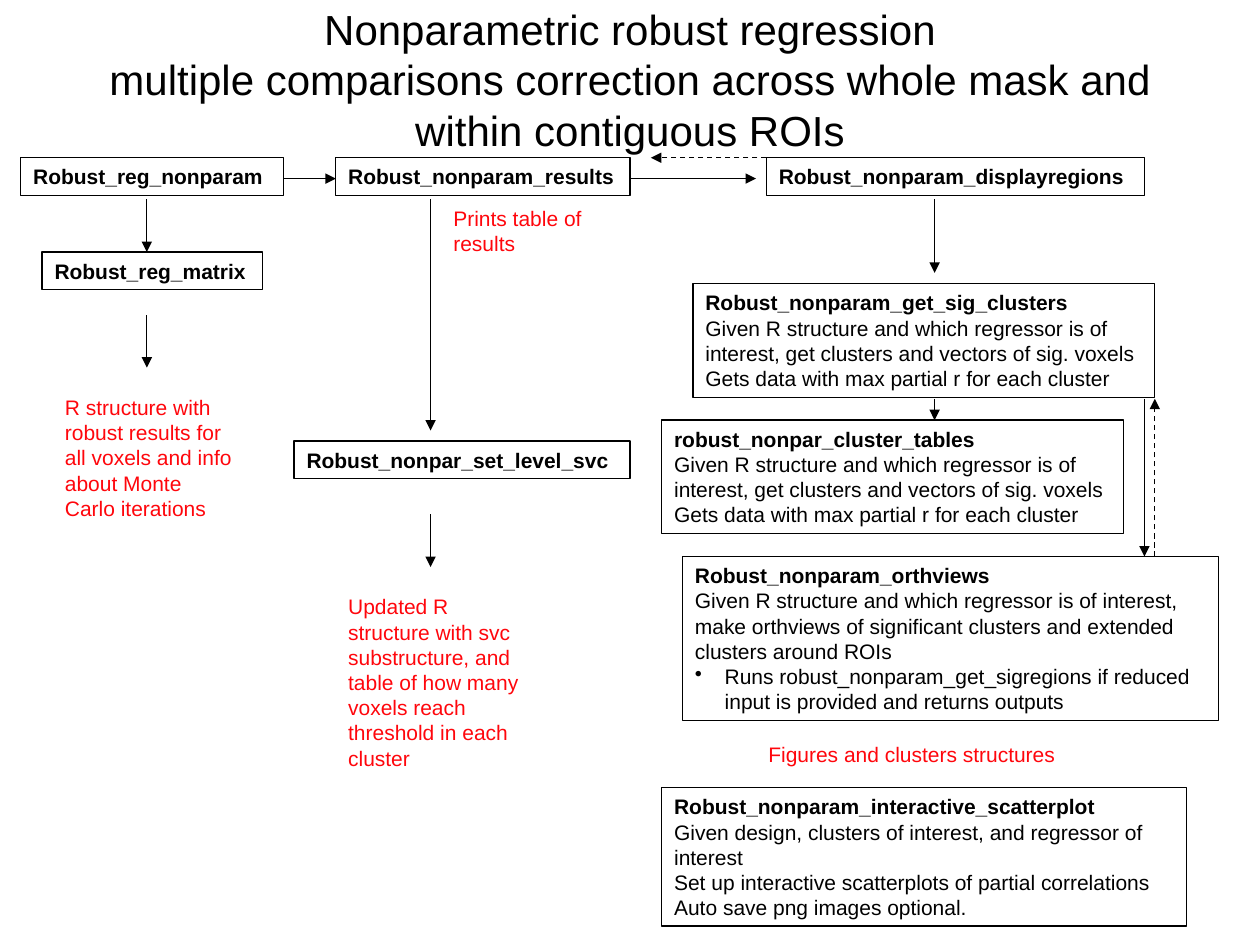
"""Build the flow chart slide of the nonparametric robust regression functions."""
from lxml import etree
from pptx import Presentation
from pptx import util as u
from pptx.dml.color import RGBColor
from pptx.enum import dml, shapes, text
from pptx.oxml.ns import qn


def color(value):
    return RGBColor.from_string(value)


def write(shape, content, size=12, fill="000000", heading=False, align=text.PP_ALIGN.LEFT,
          anchor=text.MSO_ANCHOR.TOP):
    frame = shape.text_frame
    frame.word_wrap = True
    frame.vertical_anchor = anchor
    for index, line in enumerate(content):
        paragraph = frame.paragraphs[0] if index == 0 else frame.add_paragraph()
        paragraph.alignment = align
        paragraph.text = line.removeprefix("• ")
        paragraph.font.size = u.Pt(size)
        paragraph.font.name = "Arial"
        paragraph.font.bold = heading and index == 0
        paragraph.font.color.rgb = color(fill)
        if line.startswith("• "):
            properties = paragraph._p.get_or_add_pPr()
            properties.set("marL", str(u.Cm(0.6)))
            properties.set("indent", str(u.Cm(-0.6)))
            bullet = etree.Element(qn("a:buChar"), char="•")
            properties.insert(0, bullet)


presentation = Presentation()
presentation.slide_width = u.Cm(25.4)
presentation.slide_height = u.Cm(19.05)
slide = presentation.slides.add_slide(presentation.slide_layouts[6])

title = slide.shapes.add_textbox(u.Cm(1.9), u.Cm(0), u.Cm(21.6), u.Cm(3.18))
write(title, ["Nonparametric robust regression\vmultiple comparisons correction across whole mask "
              "and within contiguous ROIs"],
      size=24, align=text.PP_ALIGN.CENTER, anchor=text.MSO_ANCHOR.MIDDLE)

cluster_lines = [
    "Given R structure and which regressor is of interest, get clusters and vectors of sig. voxels",
    "Gets data with max partial r for each cluster",
]
boxes = [
    (13.97, 5.72, 9.31, 2.29, ["Robust_nonparam_get_sig_clusters", *cluster_lines]),
    (13.76, 11.22, 10.8, 3.3, [
        "Robust_nonparam_orthviews",
        "Given R structure and which regressor is of interest, make orthviews of significant "
        "clusters and extended clusters around ROIs",
        "• Runs robust_nonparam_get_sigregions if reduced input is provided and returns outputs"]),
    (13.34, 15.88, 10.58, 2.79, [
        "Robust_nonparam_interactive_scatterplot",
        "Given design, clusters of interest, and regressor of interest",
        "Set up interactive scatterplots of partial correlations",
        "Auto save png images optional."]),
    (15.45, 3.18, 7.62, 0.76, ["Robust_nonparam_displayregions"]),
    (0.42, 3.18, 5.29, 0.76, ["Robust_reg_nonparam"]),
    (0.85, 5.08, 4.45, 0.76, ["Robust_reg_matrix"]),
    (6.77, 3.18, 5.93, 0.76, ["Robust_nonparam_results"]),
    (5.93, 8.89, 6.77, 0.76, ["Robust_nonpar_set_level_svc"]),
    (13.34, 8.47, 9.31, 2.29, ["robust_nonpar_cluster_tables", *cluster_lines]),
]
for left, top, width, height, content in boxes:
    box = slide.shapes.add_shape(shapes.MSO_SHAPE.RECTANGLE,
                                 u.Cm(left), u.Cm(top), u.Cm(width), u.Cm(height))
    box.shadow.inherit = False
    box.fill.background()
    box.line.color.rgb = color("000000")
    box.line.width = u.Pt(0.75)
    write(box, content, heading=True)

arrows = [
    (5.72, 3.6, 6.77, 3.6, False),
    (12.7, 3.6, 15.24, 3.6, False),
    (18.84, 4.02, 18.84, 5.5, False),
    (8.68, 4.02, 8.68, 8.68, False),
    (2.96, 4.02, 2.96, 5.08, False),
    (15.45, 3.18, 13.12, 3.18, True),
    (18.84, 8.04, 18.84, 8.47, False),
    (23.07, 8.04, 23.07, 11.22, False),
    (23.28, 11.22, 23.28, 8.04, True),
    (2.96, 6.35, 2.96, 7.41, False),
    (8.68, 10.37, 8.68, 11.43, False),
]
for start_x, start_y, end_x, end_y, dashed in arrows:
    arrow = slide.shapes.add_connector(shapes.MSO_CONNECTOR.STRAIGHT, u.Cm(start_x),
                                       u.Cm(start_y), u.Cm(end_x), u.Cm(end_y))
    arrow.line.color.rgb = color("000000")
    arrow.line.width = u.Pt(0.75)
    if dashed:
        arrow.line.dash_style = dml.MSO_LINE.DASH
    etree.SubElement(arrow.line._get_or_add_ln(), qn("a:tailEnd"), type="triangle")
    etree.SubElement(arrow._element.spPr, qn("a:effectLst"))

outputs = [
    (1.06, 7.83, 3.97, 2.79,
     "R structure with robust results for all voxels and info about Monte Carlo iterations"),
    (6.77, 11.85, 3.97, 3.81,
     "Updated R structure with svc substructure, and table of how many voxels reach "
     "threshold in each cluster"),
    (15.24, 14.82, 6.35, 0.76, "Figures and clusters structures"),
    (8.89, 4.02, 3.97, 1.27, "Prints table of results"),
]
for left, top, width, height, content in outputs:
    output = slide.shapes.add_textbox(u.Cm(left), u.Cm(top), u.Cm(width), u.Cm(height))
    write(output, [content], fill="FF060C")

presentation.save("out.pptx")
